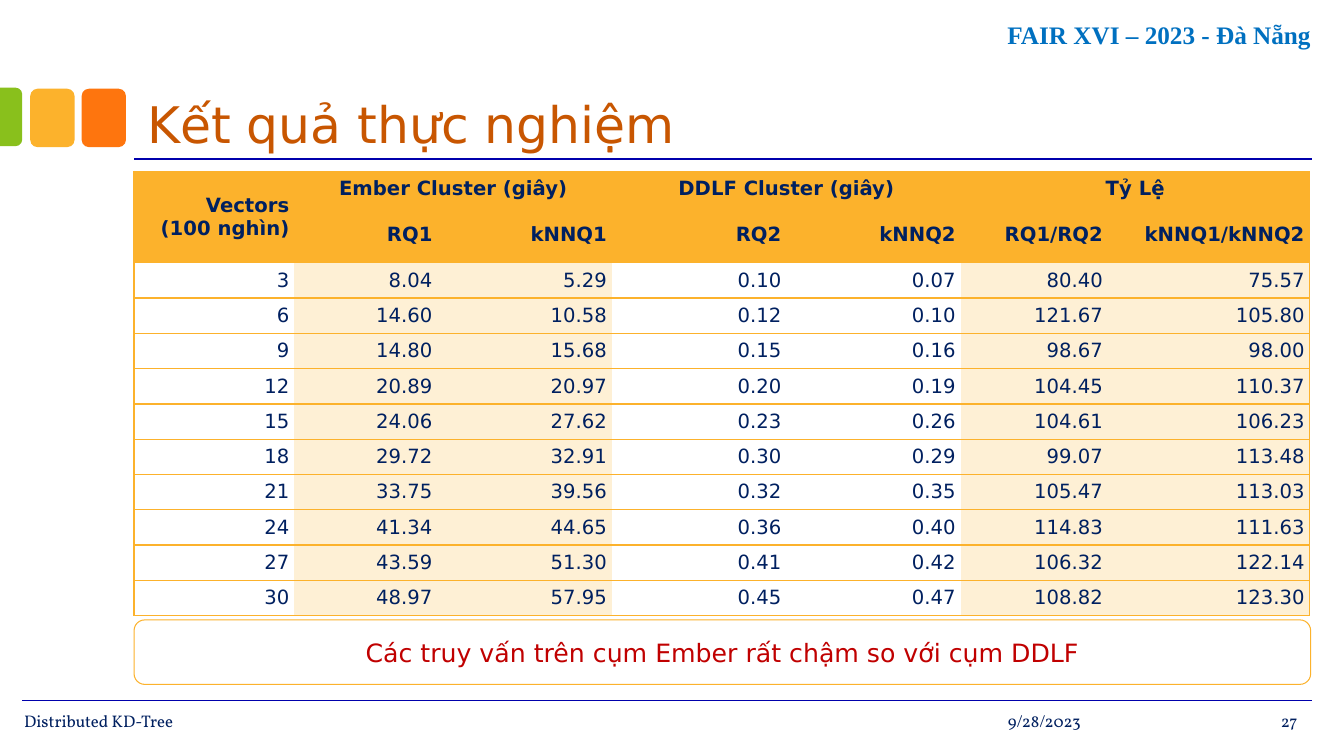
from pptx import Presentation
from pptx.dml.color import RGBColor
from pptx.enum.shapes import MSO_CONNECTOR, MSO_SHAPE
from pptx.enum.text import MSO_ANCHOR, MSO_AUTO_SIZE, PP_ALIGN
from pptx.oxml.ns import qn
from pptx.util import Inches, Pt
from lxml.etree import SubElement

AMBER = RGBColor(0xFC, 0xB2, 0x2C)
PALE_AMBER = RGBColor(0xFE, 0xF0, 0xD5)
ORANGE = RGBColor(0xFE, 0x75, 0x0E)
GREEN = RGBColor(0x89, 0xC0, 0x1C)
WHITE = RGBColor(0xFF, 0xFF, 0xFF)
NAVY = RGBColor(0x00, 0x20, 0x60)
RULE_BLUE = RGBColor(0x00, 0x00, 0xAC)
EVENT_BLUE = RGBColor(0x00, 0x70, 0xC0)
TITLE_BROWN = RGBColor(0xC8, 0x56, 0x01)
RED = RGBColor(0xC0, 0x00, 0x00)

SANS = "DejaVu Sans"
SERIF = "Times New Roman"
FOOTER_FONT = "Vollkorn"

LEFT, CENTER, RIGHT = PP_ALIGN.LEFT, PP_ALIGN.CENTER, PP_ALIGN.RIGHT
WIDE_INSETS = (0.13, 0.07)
BOX_INSETS = (0.1, 0.05)

COLUMN_WIDTHS = [1.59, 1.42, 1.73, 1.73, 1.73, 1.46, 2]
ROW_HEIGHT = 0.35
SHADED_COLUMNS = (1, 2, 5, 6)
GROUPS = {1: "Ember Cluster (giây)", 3: "DDLF Cluster (giây)", 5: "Tỷ Lệ"}
MEASURES = ["RQ1", "kNNQ1", "RQ2", "kNNQ2", "RQ1/RQ2", "kNNQ1/kNNQ2"]
RESULTS = [
    ["3", "8.04", "5.29", "0.10", "0.07", "80.40", "75.57"],
    ["6", "14.60", "10.58", "0.12", "0.10", "121.67", "105.80"],
    ["9", "14.80", "15.68", "0.15", "0.16", "98.67", "98.00"],
    ["12", "20.89", "20.97", "0.20", "0.19", "104.45", "110.37"],
    ["15", "24.06", "27.62", "0.23", "0.26", "104.61", "106.23"],
    ["18", "29.72", "32.91", "0.30", "0.29", "99.07", "113.48"],
    ["21", "33.75", "39.56", "0.32", "0.35", "105.47", "113.03"],
    ["24", "41.34", "44.65", "0.36", "0.40", "114.83", "111.63"],
    ["27", "43.59", "51.30", "0.41", "0.42", "106.32", "122.14"],
    ["30", "48.97", "57.95", "0.45", "0.47", "108.82", "123.30"],
]


def write(frame, lines, font, size, color, align=LEFT, bold=False):
    paragraph = frame.paragraphs[0]
    paragraph.alignment = align
    for index, line in enumerate(lines):
        if index:
            paragraph.add_line_break()
        run = paragraph.add_run()
        run.text = line
        run.font.name = font
        run.font.size = Pt(size)
        run.font.bold = bold
        run.font.color.rgb = color


def set_frame(frame, anchor, insets):
    frame.word_wrap = True
    frame.auto_size = MSO_AUTO_SIZE.NONE
    frame.vertical_anchor = anchor
    frame.margin_left = frame.margin_right = Inches(insets[0])
    frame.margin_top = frame.margin_bottom = Inches(insets[1])


def add_text(slide, box, text, font, size, color, align, insets, bold=False):
    shape = slide.shapes.add_textbox(*map(Inches, box))
    set_frame(shape.text_frame, MSO_ANCHOR.MIDDLE, insets)
    write(shape.text_frame, [text], font, size, color, align, bold)


def add_tile(slide, kind, box, color):
    shape = slide.shapes.add_shape(kind, *map(Inches, box))
    shape.shadow.inherit = False
    shape.fill.solid()
    shape.fill.fore_color.rgb = color
    shape.line.fill.background()
    return shape


def add_rule(slide, left, top, right, width):
    rule = slide.shapes.add_connector(
        MSO_CONNECTOR.STRAIGHT, Inches(left), Inches(top), Inches(right), Inches(top))
    rule.line.color.rgb = RULE_BLUE
    rule.line.width = Pt(width)
    SubElement(rule._element.spPr, qn("a:effectLst"))


def add_title(slide, text):
    title = slide.shapes.title
    title.left, title.top = Inches(1.33), Inches(0.17)
    title.width, title.height = Inches(11.68), Inches(1.42)
    set_frame(title.text_frame, MSO_ANCHOR.BOTTOM, WIDE_INSETS)
    write(title.text_frame, [text], SANS, 36, TITLE_BROWN)


def add_callout(slide, text):
    shape = slide.shapes.add_shape(
        MSO_SHAPE.ROUNDED_RECTANGLE, Inches(1.33), Inches(6.15), Inches(11.67), Inches(0.64))
    shape.shadow.inherit = False
    shape.fill.background()
    shape.line.color.rgb = AMBER
    shape.line.width = Pt(0.75)
    set_frame(shape.text_frame, MSO_ANCHOR.MIDDLE, BOX_INSETS)
    write(shape.text_frame, [text], SANS, 18, RED, CENTER)


def set_borders(cell, visible_sides):
    properties = cell._tc.get_or_add_tcPr()
    for side in "LRTB":
        line = SubElement(properties, qn(f"a:ln{side}"), w=str(Pt(1)))
        if side in visible_sides:
            fill = SubElement(line, qn("a:solidFill"))
            SubElement(fill, qn("a:srgbClr"), val=str(AMBER))
        else:
            SubElement(line, qn("a:noFill"))


def format_cell(cell, row, column):
    sides = "TB"
    if column == 0:
        sides += "L"
    if column == len(COLUMN_WIDTHS) - 1:
        sides += "R"
    set_borders(cell, sides)
    cell.fill.solid()
    body_color = PALE_AMBER if column in SHADED_COLUMNS else WHITE
    cell.fill.fore_color.rgb = AMBER if row < 2 else body_color
    cell.vertical_anchor = MSO_ANCHOR.MIDDLE
    cell.margin_left = cell.margin_right = Inches(0.05)
    cell.margin_top = cell.margin_bottom = Inches(0.05)


def add_results_table(slide):
    row_count = len(RESULTS) + 2
    table = slide.shapes.add_table(
        row_count, len(COLUMN_WIDTHS), Inches(1.33), Inches(1.7),
        Inches(sum(COLUMN_WIDTHS)), Inches(ROW_HEIGHT * row_count)).table
    table.first_row = table.horz_banding = False
    for column, width in zip(table.columns, COLUMN_WIDTHS):
        column.width = Inches(width)
    for row_index, row in enumerate(table.rows):
        row.height = Inches(ROW_HEIGHT)
        for column_index, cell in enumerate(row.cells):
            format_cell(cell, row_index, column_index)

    corner = table.cell(0, 0)
    corner.merge(table.cell(1, 0))
    write(corner.text_frame, ["Vectors", "(100 nghìn)"], SANS, 14, NAVY, RIGHT, True)
    for column, name in GROUPS.items():
        group = table.cell(0, column)
        group.merge(table.cell(0, column + 1))
        write(group.text_frame, [name], SANS, 14, NAVY, CENTER, True)
    for column, name in enumerate(MEASURES, 1):
        write(table.cell(1, column).text_frame, [name], SANS, 14, NAVY, RIGHT, True)
    for row, values in enumerate(RESULTS, 2):
        for column, value in enumerate(values):
            write(table.cell(row, column).text_frame, [value], SANS, 14, NAVY, RIGHT)


def main():
    presentation = Presentation()
    presentation.slide_width = Inches(13.33)
    presentation.slide_height = Inches(7.5)
    slide = presentation.slides.add_slide(presentation.slide_layouts[5])

    add_tile(slide, MSO_SHAPE.ROUNDED_RECTANGLE, (0.81, 0.88, 0.44, 0.58), ORANGE)
    add_tile(slide, MSO_SHAPE.ROUNDED_RECTANGLE, (0.3, 0.88, 0.44, 0.58), AMBER)
    edge_tile = add_tile(
        slide, MSO_SHAPE.ROUND_2_SAME_RECTANGLE, (-0.18, 1.05, 0.58, 0.22), GREEN)
    edge_tile.adjustments[0] = 0.29
    edge_tile.rotation = 90

    add_rule(slide, 1.33, 1.58, 13.01, 1.5)
    add_rule(slide, 0.22, 6.95, 13.01, 1)
    add_text(slide, (7.38, 0.02, 5.72, 0.65), "FAIR XVI – 2023 - Đà Nẵng",
             SERIF, 18, EVENT_BLUE, RIGHT, BOX_INSETS, True)
    add_title(slide, "Kết quả thực nghiệm")
    for left, width, text, align in [
        (0.11, 9.07, "Distributed KD-Tree", LEFT),
        (9.29, 1.56, "9/28/2023", RIGHT),
        (12.11, 0.89, "27", RIGHT),
    ]:
        add_text(slide, (left, 7.05, width, 0.2), text,
                 FOOTER_FONT, 12, NAVY, align, WIDE_INSETS)
    add_callout(slide, "Các truy vấn trên cụm Ember rất chậm so với cụm DDLF")
    add_results_table(slide)
    presentation.save("out.pptx")


if __name__ == "__main__":
    main()
